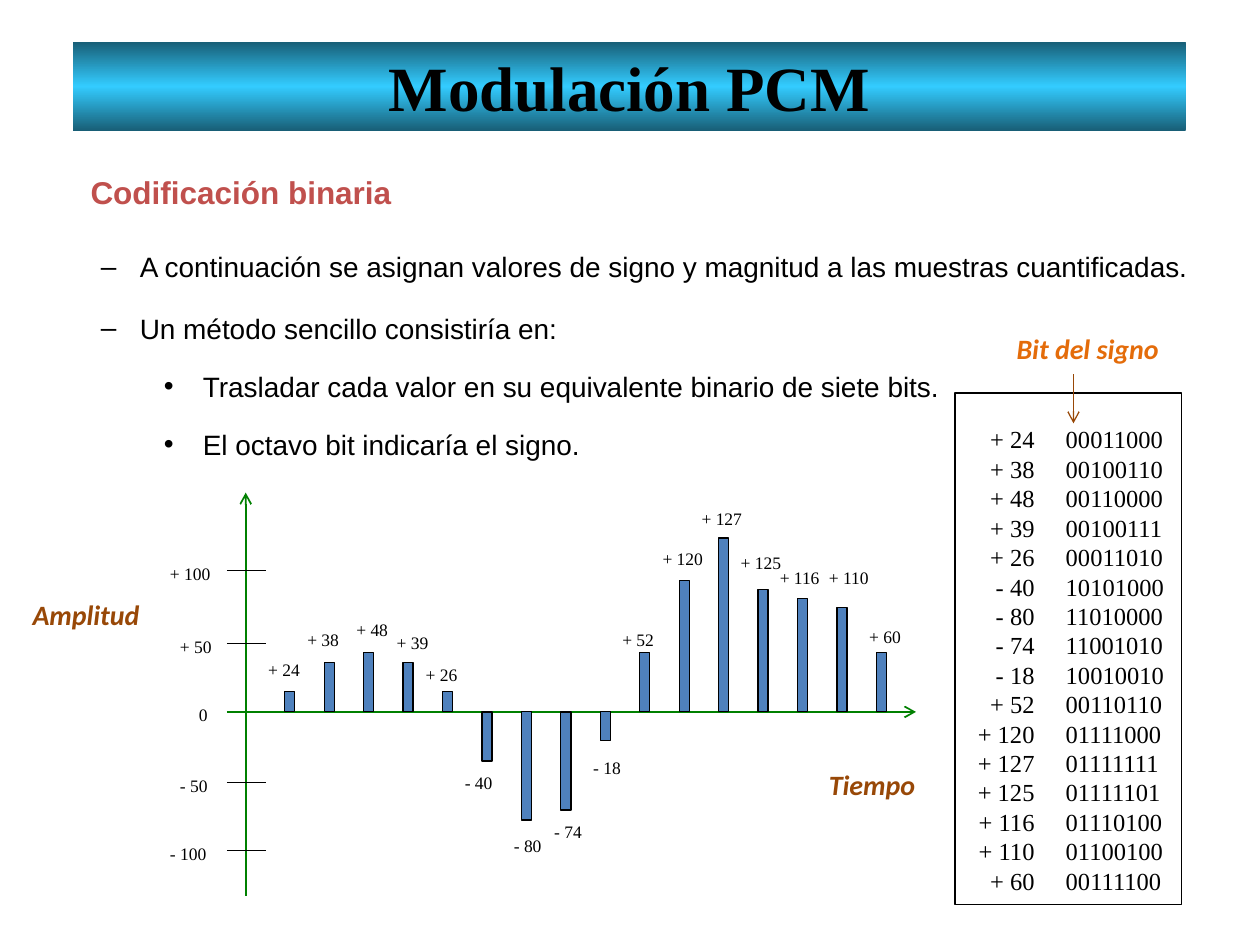
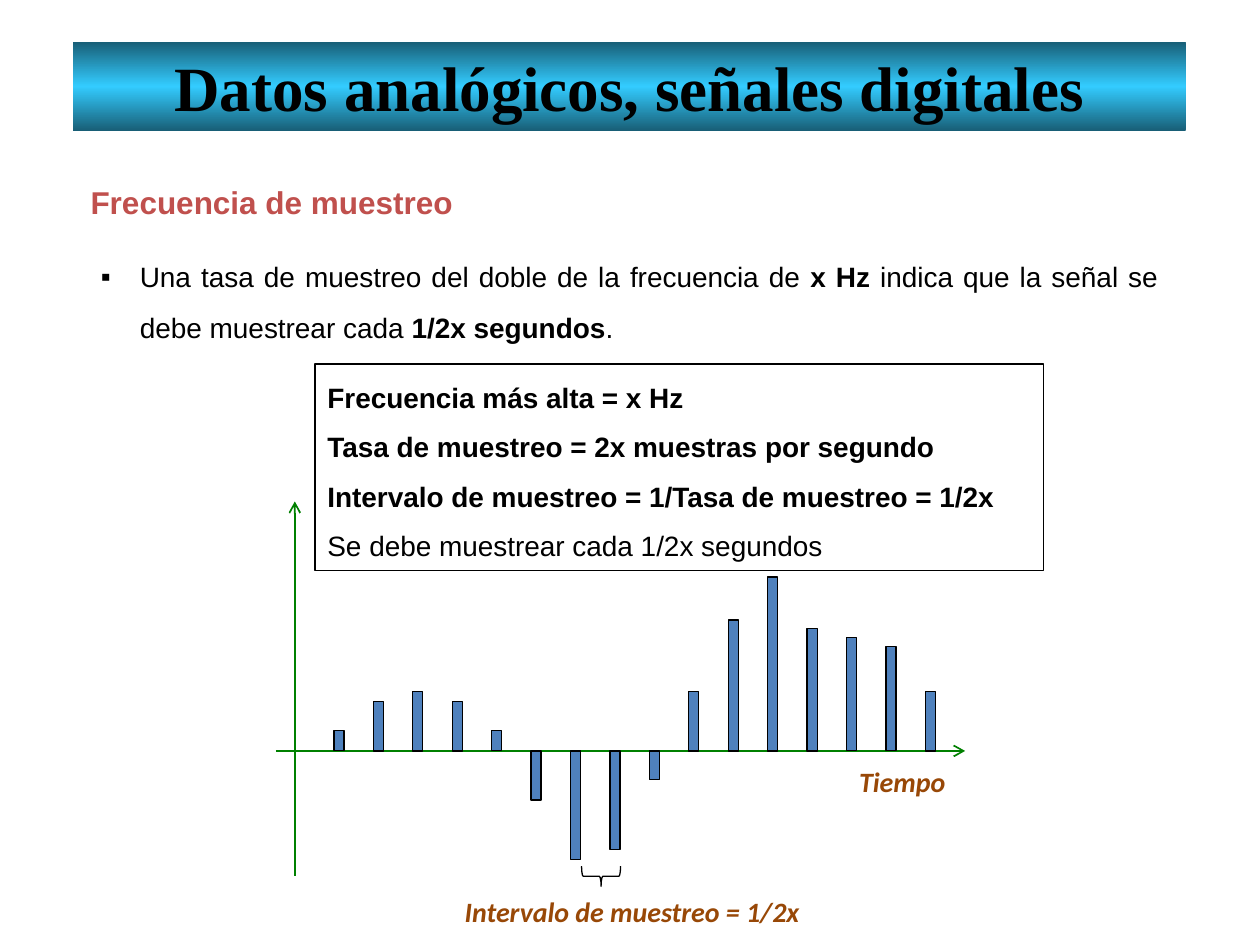
from copy import deepcopy

from lxml import etree
from pptx import Presentation
from pptx.dml.color import RGBColor
from pptx.enum.shapes import MSO_CONNECTOR, MSO_SHAPE
from pptx.enum.text import MSO_ANCHOR, MSO_AUTO_SIZE, PP_ALIGN
from pptx.oxml.ns import qn
from pptx.util import Inches, Pt

BLACK = RGBColor(0x00, 0x00, 0x00)
WHITE = RGBColor(0xFF, 0xFF, 0xFF)
RED = RGBColor(0xC0, 0x50, 0x4D)
BROWN = RGBColor(0x98, 0x48, 0x07)
ORANGE = RGBColor(0xE4, 0x6C, 0x0A)
GREEN = RGBColor(0x00, 0x80, 0x00)
BLUE = RGBColor(0x4F, 0x81, 0xBD)
BAND_EDGE = RGBColor(0x18, 0x5E, 0x76)
BAND_CENTRE = RGBColor(0x33, 0xCC, 0xFF)

SANS, SERIF, ITALIC = "Arial", "Times New Roman", "Calibri"

# Sample: value, binary code, bar height (negative hangs down), label left and top
SAMPLES = [
    ("+ 24", "00011000", 0.16, 2.03, 5.18),
    ("+ 38", "00100110", 0.39, 2.34, 4.94),
    ("+ 48", "00110000", 0.47, 2.73, 4.86),
    ("+ 39", "00100111", 0.39, 3.05, 4.97),
    ("+ 26", "00011010", 0.16, 3.28, 5.22),
    ("- 40", "10101000", -0.39, 3.59, 6.08),
    ("- 80", "11010000", -0.86, 3.98, 6.58),
    ("- 74", "11001010", -0.78, 4.30, 6.47),
    ("- 18", "10010010", -0.23, 4.61, 5.96),
    ("+ 52", "00110110", 0.47, 4.84, 4.94),
    ("+ 120", "01111000", 1.04, 5.16, 4.30),
    ("+ 127", "01111111", 1.38, 5.47, 3.98),
    ("+ 125", "01111101", 0.97, 5.78, 4.33),
    ("+ 116", "01110100", 0.90, 6.09, 4.45),
    ("+ 110", "01100100", 0.83, 6.48, 4.45),
    ("+ 60", "00111100", 0.47, 6.80, 4.92),
]
# Amplitude scale: label, label left, height on the page
SCALE = [
    ("+ 100", 1.25, 4.53),
    ("+ 50", 1.33, 5.11),
    ("0", 1.48, 5.65),
    ("- 50", 1.33, 6.21),
    ("- 100", 1.25, 6.75),
]
# Bullet: level, mark, space before, spans of (text, bold)
CODING_BULLETS = [
    (0, "–", 0, [("A continuación se asignan valores de signo y magnitud "
                  "a las muestras cuantificadas.", False)]),
    (0, "–", 6.2, [("Un método sencillo consistiría en:", False)]),
    (1, "•", 4.4, [("Trasladar cada valor en su equivalente binario de siete bits.", False)]),
    (1, "•", 4.4, [("El octavo bit indicaría el signo.", False)]),
]
SAMPLING_BULLETS = [
    (0, "▪", 0, [("Una tasa de muestreo del doble de la frecuencia de ", False),
                 ("x Hz ", True),
                 ("indica que la señal se debe muestrear cada ", False),
                 ("1/2x segundos", True),
                 (".", False)]),
]
FORMULAS = [
    "Frecuencia más alta = x Hz",
    "Tasa de muestreo = 2x muestras por segundo",
    "Intervalo de muestreo = 1/Tasa de muestreo = 1/2x",
    "Se debe muestrear cada 1/2x segundos",
]

BAR_WIDTH, BAR_STEP, FIRST_BAR = 0.08, 0.313, 0.31
CODING_ORIGIN = (1.95, 5.65)
SAMPLING_ORIGIN = (2.34, 5.96)


def inches(*lengths):
    return [Inches(length) for length in lengths]


def place(shape, box):
    shape.left, shape.top, shape.width, shape.height = inches(*box)


def format_span(span, size, font, color=BLACK, bold=False, italic=False):
    span.font.size, span.font.name = Pt(size), font
    span.font.bold, span.font.italic = bold, italic
    span.font.color.rgb = color


def write(shape, lines, size, font, color=BLACK, bold=False, italic=False,
          align=PP_ALIGN.LEFT, spacing=None, gap=0):
    """Put one paragraph per line into a shape, all in one style."""
    frame = shape.text_frame
    frame.word_wrap = True
    frame.auto_size = MSO_AUTO_SIZE.NONE
    frame.text = "\n".join(lines)
    for index, para in enumerate(frame.paragraphs):
        para.alignment = align
        para.space_before = Pt(gap if index else 0)
        if spacing:
            para.line_spacing = spacing
        for span in para.runs:
            format_span(span, size, font, color, bold, italic)


def add_text(page, box, lines, size, font, **style):
    write(page.shapes.add_textbox(*inches(*box)), lines, size, font, **style)


def add_note(page, box, text, color=BROWN):
    add_text(page, box, [text], 16, ITALIC, color=color, bold=True, italic=True)


def add_figure(page, kind, box, fill=None):
    """Add a black-outlined preset shape, hollow unless a fill is given."""
    shape = page.shapes.add_shape(kind, *inches(*box))
    shape.shadow.inherit = False
    shape.line.color.rgb = BLACK
    shape.line.width = Pt(0.75)
    if fill is None:
        shape.fill.background()
    else:
        shape.fill.solid()
        shape.fill.fore_color.rgb = fill
    return shape


def add_line(page, start, end, color=BLACK, width=0.75, arrow=False):
    line = page.shapes.add_connector(MSO_CONNECTOR.STRAIGHT, *inches(*start, *end))
    line.line.color.rgb = color
    line.line.width = Pt(width)
    properties = line._element.spPr
    if arrow:
        etree.SubElement(properties.find(qn("a:ln")), qn("a:tailEnd"), type="arrow")
    etree.SubElement(properties, qn("a:effectLst"))


def fill_band(shape):
    shape.fill.gradient()
    shape.fill.gradient_angle = 90
    stops = shape._element.spPr.find(".//" + qn("a:gsLst"))
    stops.append(deepcopy(stops[0]))
    colors = (BAND_EDGE, BAND_CENTRE, BAND_EDGE)
    for index, (stop, color) in enumerate(zip(shape.fill.gradient_stops, colors)):
        stop.position = index / 2
        stop.color.rgb = color


def fill_bullets(body, bullets):
    frame = body.text_frame
    frame.auto_size = MSO_AUTO_SIZE.NONE
    for index, (level, mark, gap, spans) in enumerate(bullets):
        para = frame.add_paragraph() if index else frame.paragraphs[0]
        para.level = level
        para.alignment = PP_ALIGN.JUSTIFY
        para.line_spacing = 1.5
        para.space_before = Pt(gap)
        properties = para._p.get_or_add_pPr()
        properties.set("marL", str(Inches(0.31 + 0.5 * level)))
        properties.set("indent", str(Inches(-0.31)))
        etree.SubElement(properties, qn("a:buChar"), char=mark)
        for text, bold in spans:
            span = para.add_run()
            span.text = text
            format_span(span, 16, SANS, bold=bold)


def add_page(deck, title, heading, heading_top, bullets, body_box):
    page = deck.slides.add_slide(deck.slide_layouts[1])
    band, body = page.placeholders
    place(band, (0.58, 0.33, 8.83, 0.71))
    fill_band(band)
    write(band, [title], 36, SERIF, bold=True, align=PP_ALIGN.CENTER)
    band.text_frame.vertical_anchor = MSO_ANCHOR.MIDDLE
    add_text(page, (0.62, heading_top, 6.41, 0.62), [heading], 18, SANS,
             color=RED, bold=True, spacing=1.5)
    place(body, body_box)
    fill_bullets(body, bullets)
    return page


def add_signal(page, origin, axis_top, axis_bottom):
    """Draw both axes and one bar per sample."""
    x, y = origin
    add_line(page, (x, axis_bottom), (x, axis_top), GREEN, 1, arrow=True)
    add_line(page, (x - 0.15, y), (x + 5.32, y), GREEN, 1, arrow=True)
    for index, (_, _, height, _, _) in enumerate(SAMPLES):
        left = x + FIRST_BAR + index * BAR_STEP
        top = y - max(height, 0)
        add_figure(page, MSO_SHAPE.RECTANGLE, (left, top, BAR_WIDTH, abs(height)), BLUE)


def build_coding(deck):
    page = add_page(deck, "Modulación PCM", "Codificación binaria", 1.17,
                    CODING_BULLETS, (0.7, 1.8, 8.91, 1.88))
    add_signal(page, CODING_ORIGIN, 3.91, 7.11)
    for value, _, _, left, top in SAMPLES:
        add_text(page, (left, top, 0.55, 0.27), [value], 10, SERIF)
    for label, left, y in SCALE:
        add_text(page, (left, y - 0.11, 0.55, 0.27), [label], 10, SERIF)
        if label != "0":
            add_line(page, (1.8, y), (2.11, y))
    add_note(page, (0.16, 4.69, 1.09, 0.37), "Amplitud")
    add_note(page, (6.48, 6.04, 1.33, 0.37), "Tiempo")

    add_figure(page, MSO_SHAPE.RECTANGLE, (7.58, 3.12, 1.8, 4.06))
    values, codes, *_ = zip(*SAMPLES)
    add_text(page, (7.56, 3.32, 0.75, 3.87), values, 14, SERIF,
             align=PP_ALIGN.RIGHT, spacing=Pt(16.8))
    add_text(page, (8.36, 3.32, 1.09, 3.87), codes, 14, SERIF, spacing=Pt(16.8))
    add_note(page, (7.97, 2.58, 1.48, 0.37), "Bit del signo", ORANGE)
    add_line(page, (8.52, 2.97), (8.52, 3.36), BROWN, arrow=True)


def build_sampling(deck):
    page = add_page(deck, "Datos analógicos, señales digitales", "Frecuencia de muestreo",
                    1.25, SAMPLING_BULLETS, (0.7, 1.88, 8.59, 0.94))
    add_signal(page, SAMPLING_ORIGIN, 3.98, 6.95)
    brace = add_figure(page, MSO_SHAPE.RIGHT_BRACE, (4.69, 6.8, 0.16, 0.31), WHITE)
    brace.rotation = 90
    add_note(page, (3.59, 7.05, 2.97, 0.37), "Intervalo de muestreo = 1/2x")
    add_note(page, (6.72, 6.02, 0.94, 0.37), "Tiempo")

    formulas = add_figure(page, MSO_SHAPE.RECTANGLE, (2.5, 2.89, 5.78, 1.64))
    write(formulas, FORMULAS, 16, SANS, bold=True, align=PP_ALIGN.JUSTIFY,
          spacing=Pt(25), gap=3.3)
    formulas.text_frame.vertical_anchor = MSO_ANCHOR.TOP
    formulas.text_frame.paragraphs[-1].runs[0].font.bold = False


def main():
    deck = Presentation()
    deck.slide_width, deck.slide_height = inches(10, 7.5)
    build_coding(deck)
    build_sampling(deck)
    deck.save("out.pptx")


if __name__ == "__main__":
    main()
